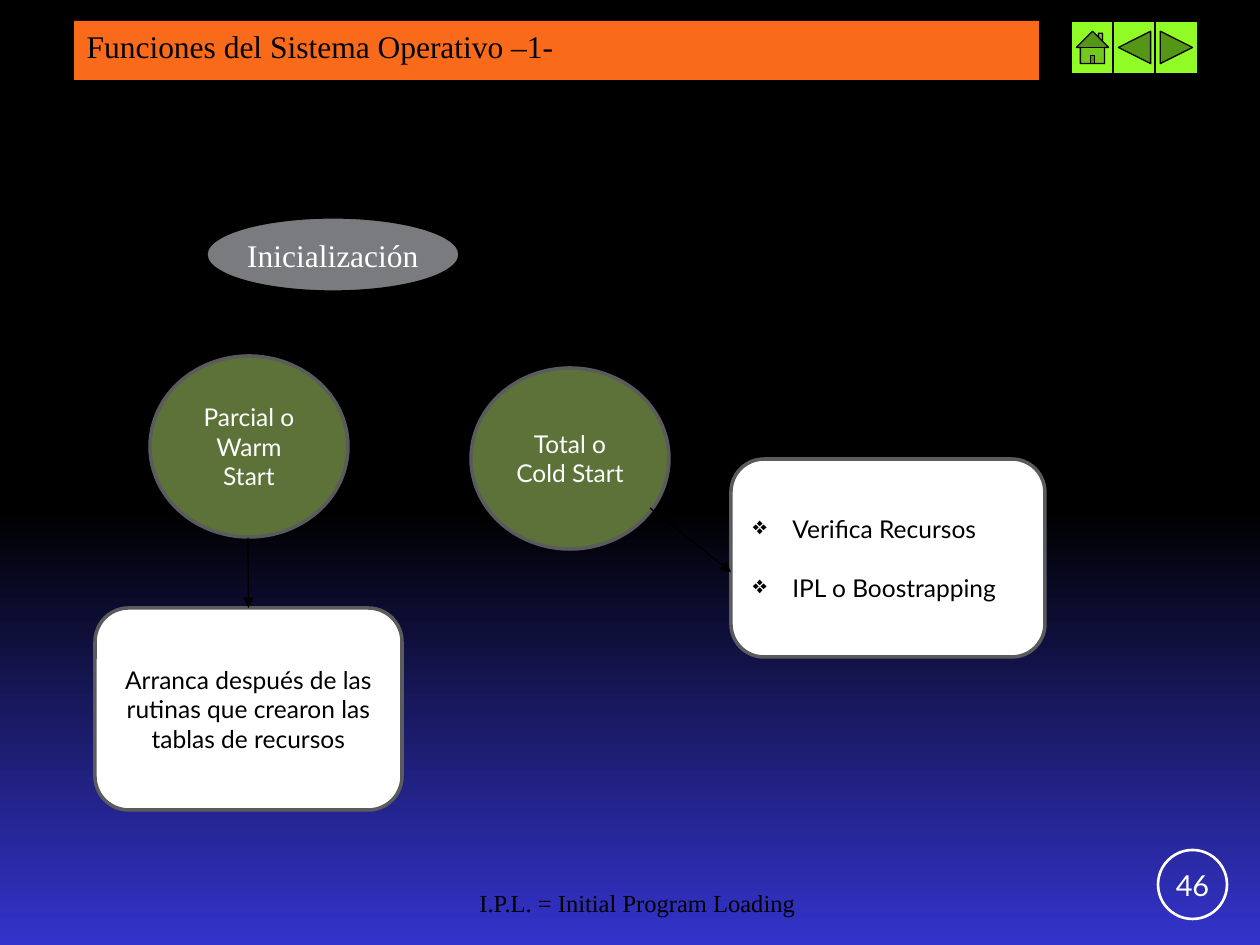
"""Build the slide on operating system start-up functions."""
from dataclasses import dataclass
from typing import Optional

from pptx import Presentation
from pptx import util as u
from pptx.dml.color import RGBColor
from pptx.enum import shapes, text
from pptx.oxml import parse_xml
from pptx.oxml.ns import nsdecls, qn

PX = 914400 / 126
MSO = shapes.MSO_SHAPE
LEFT, CENTER = text.PP_ALIGN.LEFT, text.PP_ALIGN.CENTER


@dataclass(frozen=True)
class Theme:
    black: str = "000000"
    white: str = "FFFFFF"
    bar: str = "F96A1B"
    button: str = "90FB25"
    topic: str = "797B7E"
    start: str = "5D7238"
    border: str = "5A5B5D"
    backdrop: tuple = ((54, "000000"), (88, "272799"), (100, "3333CC"))
    serif: str = "Times New Roman"
    sans: str = "Lato"
    heading: float = 18
    number: float = 16.5
    body: float = 14
    thin: float = 0.75
    medium: float = 1.5
    thick: float = 2


T = Theme()


@dataclass(frozen=True)
class Node:
    name: str
    kind: int
    box: tuple
    fill: Optional[str] = None
    line: str = T.black
    width: float = T.thin
    lines: tuple = ()
    color: str = T.white
    font: str = T.sans
    size: float = T.body
    bullets: bool = False
    wrap: bool = True
    inset: Optional[int] = None


@dataclass(frozen=True)
class Arrow:
    start: tuple
    end: tuple
    source: Optional[str] = None
    target: Optional[str] = None


def node(name: str, *args, **kw) -> Node:
    return Node(name, *args, **kw)


def start_circle(name: str, box: tuple, label: str) -> Node:
    return Node(name, MSO.OVAL, box, T.start, T.border, T.thick, (label,))


def detail_card(name: str, box: tuple, lines: tuple, bullets: bool = False) -> Node:
    return Node(name, MSO.ROUNDED_RECTANGLE, box, T.white, T.border, T.thick,
                lines, T.black, bullets=bullets)


BUTTONS = (MSO.ACTION_BUTTON_HOME, MSO.ACTION_BUTTON_BACK_OR_PREVIOUS,
           MSO.ACTION_BUTTON_FORWARD_OR_NEXT)

NODES = [Node(f"button {i}", kind, (1071 + 42 * i, 21, 43, 53), T.button)
         for i, kind in enumerate(BUTTONS)] + [
    Node("topic", MSO.OVAL, (207, 218, 252, 73), T.topic, lines=("Inicialización",),
         font=T.serif, size=T.heading, wrap=False),
    Node("step", MSO.RECTANGLE, (511, 233, 120, 52)),
    Node("result", MSO.RECTANGLE, (847, 190, 339, 127)),
    Node("number", MSO.OVAL, (1158, 850, 69, 69), line=T.white, width=T.medium,
         lines=("46",), size=T.number, inset=1),
    start_circle("warm", (150, 356, 198, 181), "Parcial o Warm Start"),
    start_circle("cold", (471, 368, 198, 181), "Total o Cold Start"),
    detail_card("cold detail", (731, 459, 314, 198),
                ("Verifica Recursos", "IPL o Boostrapping"), bullets=True),
    detail_card("warm detail", (95, 608, 307, 202),
                ("Arranca después de las rutinas que crearon las tablas de recursos",)),
]

ARROWS = (
    Arrow((459, 259), (511, 259), target="step"),
    Arrow((631, 259), (847, 259), source="step"),
    Arrow((292, 291), (262, 354)),
    Arrow((373, 291), (561, 364)),
    Arrow((650, 508), (731, 572)),
    Arrow((248, 538), (248, 608), target="warm detail"),
)
SITES = {"step": (3, 1), "warm detail": (2, 0)}


def px(*values: int) -> list:
    return [u.Emu(round(v * PX)) for v in values]


def rgb(color: str) -> RGBColor:
    return RGBColor.from_string(color)


def write(tf, lines: tuple, color: str, font: str, size: float, align: int,
          bullets: bool = False) -> None:
    for i, line in enumerate(lines):
        p = tf.add_paragraph() if i else tf.paragraphs[0]
        p.text = line
        p.alignment = align
        if bullets:
            p.space_before = u.Pt(17 if i else 0)
            pPr = p._p.get_or_add_pPr()
            pPr.set("marL", "285750")
            pPr.set("indent", "-285750")
            pPr.append(parse_xml(f'<a:buChar {nsdecls("a")} char="❖"/>'))
        for r in p.runs:
            r.font.name, r.font.size = font, u.Pt(size)
            r.font.color.rgb = rgb(color)


def draw_node(s, n: Node):
    sp = s.shapes.add_shape(n.kind, *px(*n.box))
    sp.shadow.inherit = False
    if n.fill:
        sp.fill.solid()
        sp.fill.fore_color.rgb = rgb(n.fill)
    else:
        sp.fill.background()
    sp.line.color.rgb = rgb(n.line)
    sp.line.width = u.Pt(n.width)
    tf = sp.text_frame
    tf.word_wrap = n.wrap
    tf.vertical_anchor = text.MSO_ANCHOR.MIDDLE
    if n.inset is not None:
        tf.margin_left = tf.margin_top = tf.margin_right = tf.margin_bottom = px(n.inset)[0]
    write(tf, n.lines, n.color, n.font, n.size, LEFT if n.bullets else CENTER, n.bullets)
    return sp


def draw_arrow(s, a: Arrow, drawn: dict) -> None:
    c = s.shapes.add_connector(shapes.MSO_CONNECTOR.STRAIGHT, *px(*a.start, *a.end))
    if a.source:
        c.begin_connect(drawn[a.source], SITES[a.source][0])
    if a.target:
        c.end_connect(drawn[a.target], SITES[a.target][1])
    c.line.color.rgb = rgb(T.black)
    c.line.width = u.Pt(T.thin)
    c.line._get_or_add_ln().append(parse_xml(f'<a:tailEnd {nsdecls("a")} type="triangle"/>'))
    c._element.spPr.append(parse_xml(f'<a:effectLst {nsdecls("a")}/>'))


def draw_background(s) -> None:
    fill = s.background.fill
    fill.gradient()
    fill.gradient_angle = 270
    stops = next(s.background._cSld.iter(qn("a:gsLst")))
    for gs in list(stops):
        stops.remove(gs)
    for pos, color in T.backdrop:
        stops.append(parse_xml(f'<a:gs {nsdecls("a")} pos="{pos * 1000}">'
                               f'<a:srgbClr val="{color}"/></a:gs>'))


def draw_title(s, title: str) -> None:
    sp = s.shapes.title
    sp.left, sp.top, sp.width, sp.height = px(74, 21, 965, 59)
    sp.fill.solid()
    sp.fill.fore_color.rgb = rgb(T.bar)
    tf = sp.text_frame
    tf.auto_size = text.MSO_AUTO_SIZE.NONE
    tf.vertical_anchor = text.MSO_ANCHOR.TOP
    write(tf, (title,), T.black, T.serif, T.heading, LEFT)


def draw_footnote(s, note: str) -> None:
    tf = s.shapes.add_textbox(*px(78, 882, 1119, 42)).text_frame
    tf.word_wrap = True
    write(tf, (note,), T.black, T.serif, T.body, CENTER)


def main() -> None:
    prs = Presentation()
    prs.slide_width, prs.slide_height = px(1260, 945)
    s = prs.slides.add_slide(prs.slide_layouts[5])
    draw_background(s)
    draw_title(s, "Funciones del Sistema Operativo –1-")
    drawn = {n.name: draw_node(s, n) for n in NODES}
    for a in ARROWS:
        draw_arrow(s, a, drawn)
    draw_footnote(s, "I.P.L. = Initial Program Loading")
    prs.save("out.pptx")


if __name__ == "__main__":
    main()
